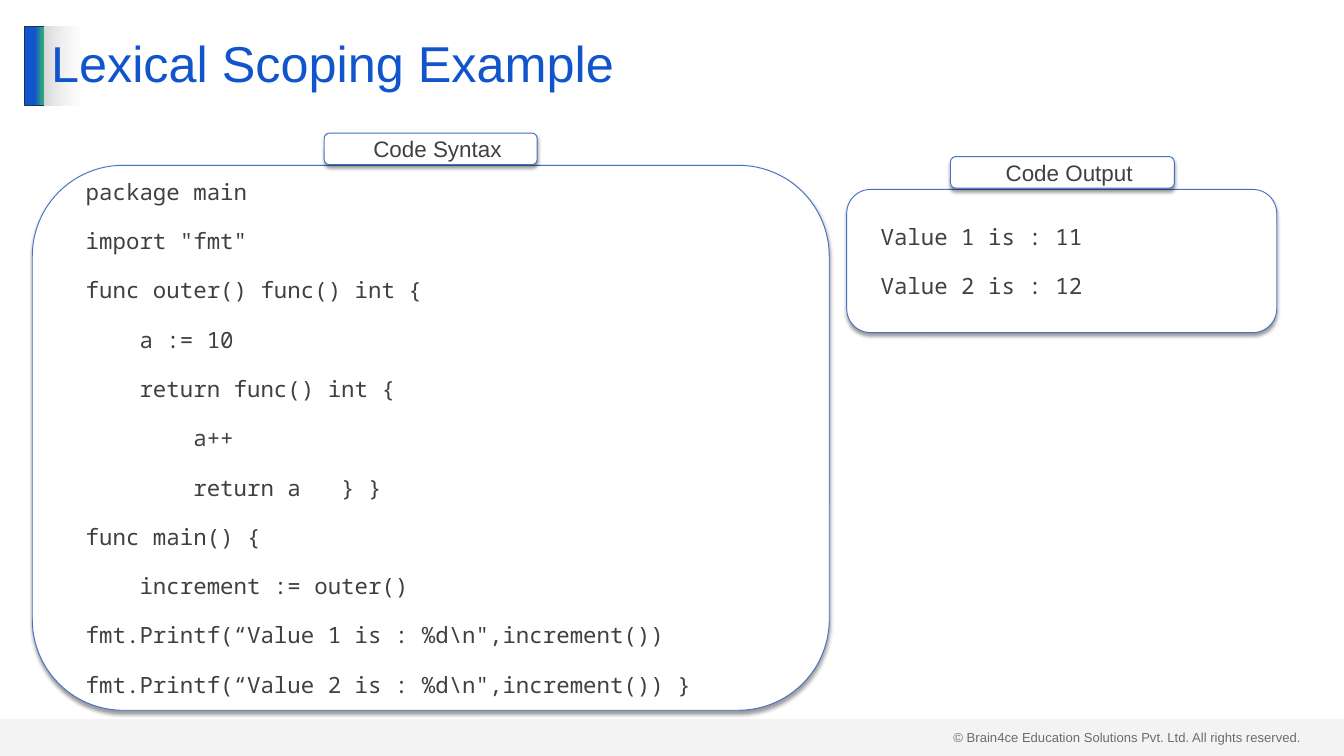
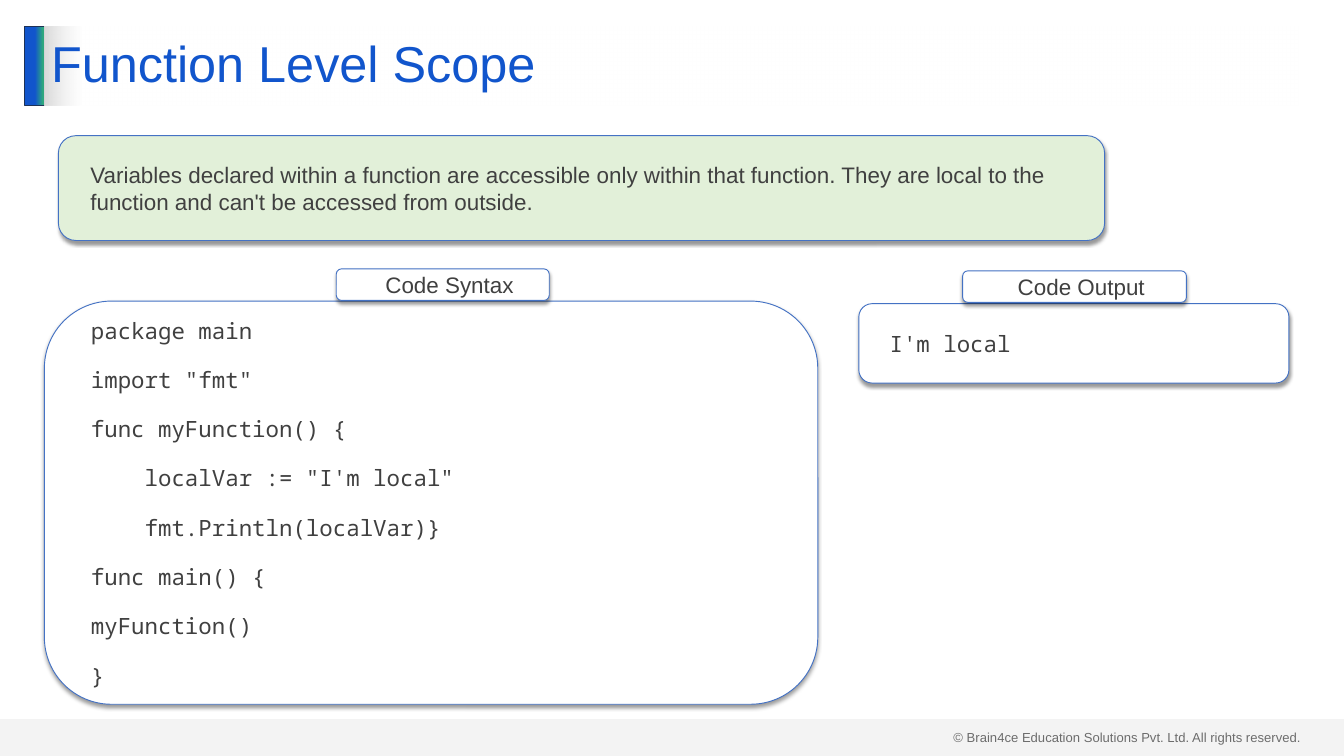
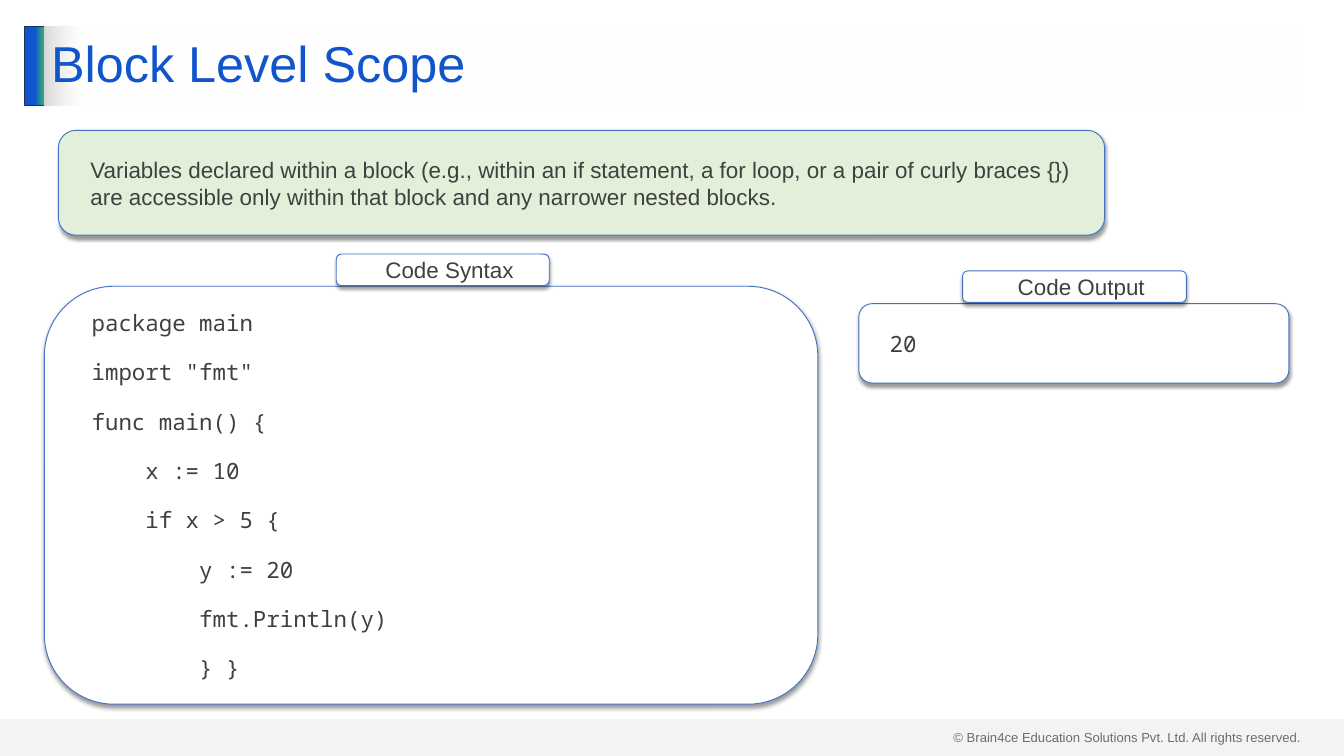
from lxml.etree import SubElement
from pptx import Presentation
from pptx.dml.color import RGBColor
from pptx.enum.shapes import MSO_SHAPE
from pptx.enum.text import MSO_ANCHOR, MSO_AUTO_SIZE, PP_ALIGN
from pptx.oxml.ns import qn
from pptx.util import Pt

COLORS = {
    "title": "1155CC", "accent": "2EA87D", "accent_line": "1E3256",
    "grey": "D9D9D9", "white": "FFFFFF", "text": "404040",
    "outline": "4472C4", "definition": "E2F0D9", "shadow": "000000",
}
PROSE_FONT, CODE_FONT = "Arial", "Noto Sans Mono"
COPYRIGHT = "© Brain4ce Education Solutions Pvt. Ltd. All rights reserved."

# Boxes are (left, top, width, height) in points.
SLIDE_SIZE = (1440, 810)
COPYRIGHT_BOX = (1014.5, 777.6, 389.5, 24.5)
ACCENT_BOX = (26.6, 28, 21.6, 85)
FOOTER_BOX = (0, 770.4, 1440, 39.6)
TITLE_BOX = (47.5, 28, 1344.2, 85)

# Captions: text, offset from the left of their panel, rise above it, width.
CAPTION_HEIGHT = 33.8
CODE_CAPTION = ("Code Syntax", 312.8, 34.5, 228.2)
OUTPUT_CAPTION = ("Code Output", 111.2, 35.2, 239.8)

LESSONS = [
    {
        "title": "Lexical Scoping Example",
        "code_box": (34.6, 177.1, 853.9, 583.9),
        "code": [
            "package main",
            'import "fmt"',
            "func outer() func() int {",
            "    a := 10",
            "    return func() int {",
            "        a++",
            "        return a   } }",
            "func main() {",
            "    increment := outer()",
            r'fmt.Printf(“Value 1 is : %d\n",increment())',
            r'fmt.Printf(“Value 2 is : %d\n",increment()) }',
        ],
        "output_box": (907.2, 203, 460.8, 153.4),
        "output": ["Value 1 is : 11", "Value 2 is : 12"],
    },
    {
        "title": "Function Level Scope",
        "code_box": (47.5, 322.6, 828.7, 432),
        "code": [
            "package main",
            'import "fmt"',
            "func myFunction() {",
            '    localVar := "I\'m local"',
            "    fmt.Println(localVar)}",
            "func main() {",
            "myFunction()",
            "}",
        ],
        "output_box": (920.2, 325.4, 460.8, 85),
        "output": ["I'm local"],
        "definition_box": (62.6, 145.4, 1121, 112.3),
        "definition": "Variables declared within a function are accessible only within that "
                      "function. They are local to the function and can't be accessed from outside.",
    },
    {
        "title": "Block Level Scope",
        "code_box": (47.5, 306.7, 828.7, 447.8),
        "code": [
            "package main",
            'import "fmt"',
            "func main() {",
            "    x := 10",
            "    if x > 5 {",
            "        y := 20",
            "        fmt.Println(y)",
            "        } }",
        ],
        "output_box": (920.2, 325.4, 460.8, 85),
        "output": ["20"],
        "definition_box": (62.6, 139.7, 1121, 112.3),
        "definition": "Variables declared within a block (e.g., within an if statement, a for loop, "
                      "or a pair of curly braces {}) are accessible only within that block and any "
                      "narrower nested blocks.",
    },
]


def rgb(name):
    return RGBColor.from_string(COLORS[name])


def points(box):
    return [Pt(length) for length in box]


def add_color(parent, name, opacity=100):
    color = SubElement(parent, qn("a:srgbClr"), val=COLORS[name])
    if opacity < 100:
        SubElement(color, qn("a:alpha"), val=str(opacity * 1000))


def write(frame, lines, size=24, font=PROSE_FONT, color="text", align=PP_ALIGN.LEFT,
          anchor=MSO_ANCHOR.MIDDLE, gap=24, indent=0, line_spacing=None):
    frame.word_wrap = True
    frame.auto_size = MSO_AUTO_SIZE.NONE
    frame.vertical_anchor = anchor
    for index, line in enumerate(lines):
        paragraph = frame.add_paragraph() if index else frame.paragraphs[0]
        paragraph.text = line
        paragraph.alignment = align
        paragraph.line_spacing = line_spacing
        paragraph.space_before = Pt(gap if index else 0)
        paragraph.space_after = Pt(0)
        if indent:
            properties = paragraph._p.get_or_add_pPr()
            properties.set("marL", str(Pt(indent)))
            properties.set("indent", "0")
        paragraph.font.size = Pt(size)
        paragraph.font.name = font
        paragraph.font.color.rgb = rgb(color)


def fill_gradient(shape, stops):
    """Fill left to right with stops of (percent, colour, opacity)."""
    shape.fill.gradient()
    gradient = shape.element.spPr.find(qn("a:gradFill"))
    gradient.find(qn("a:lin")).set("ang", "0")
    stop_list = gradient.find(qn("a:gsLst"))
    for old_stop in list(stop_list):
        stop_list.remove(old_stop)
    for percent, color, opacity in stops:
        stop = SubElement(stop_list, qn("a:gs"), pos=str(percent * 1000))
        add_color(stop, color, opacity)


def add_panel(slide, box, lines, fill="white", **text_format):
    panel = slide.shapes.add_shape(MSO_SHAPE.ROUNDED_RECTANGLE, *points(box))
    panel.fill.solid()
    panel.fill.fore_color.rgb = rgb(fill)
    panel.line.color.rgb = rgb("outline")
    panel.line.width = Pt(1)
    panel.shadow.inherit = False
    effects = panel.element.spPr.find(qn("a:effectLst"))
    shadow = SubElement(effects, qn("a:outerShdw"), blurRad=str(Pt(4)), dist=str(Pt(3)),
                        dir="5400000", algn="t", rotWithShape="0")
    add_color(shadow, "shadow", 40)
    frame = panel.text_frame
    frame.margin_left = frame.margin_right = Pt(14.4)
    frame.margin_top = frame.margin_bottom = Pt(7.2)
    write(frame, lines, indent=14.4, **text_format)


def add_caption(slide, panel_box, caption):
    text, offset, rise, width = caption
    left, top = panel_box[:2]
    add_panel(slide, (left + offset, top - rise, width, CAPTION_HEIGHT), [text],
              align=PP_ALIGN.CENTER)


def decorate_layout(layout, slide):
    """Draw the shared parts on a slide, then move them to its layout."""
    copyright_line = slide.shapes.add_textbox(*points(COPYRIGHT_BOX))
    write(copyright_line.text_frame, [COPYRIGHT], size=14, anchor=MSO_ANCHOR.TOP)

    accent = slide.shapes.add_shape(MSO_SHAPE.RECTANGLE, *points(ACCENT_BOX))
    fill_gradient(accent, [(51, "title", 100), (90, "accent", 100), (100, "accent", 100)])
    accent.line.color.rgb = rgb("accent_line")
    accent.line.width = Pt(1)

    footer = slide.shapes.add_shape(MSO_SHAPE.RECTANGLE, *points(FOOTER_BOX))
    footer.fill.solid()
    footer.fill.fore_color.rgb = rgb("grey")
    footer_color = footer.element.spPr.find(qn("a:solidFill")).find(qn("a:srgbClr"))
    SubElement(footer_color, qn("a:alpha"), val="29000")
    footer.line.fill.background()

    for band in (accent, footer):
        band.shadow.inherit = False
    for part in (copyright_line, accent, footer):
        layout.shapes.element.append(part.element)


def set_title(slide, text):
    title = slide.shapes.title
    title.left, title.top, title.width, title.height = points(TITLE_BOX)
    fill_gradient(title, [(0, "grey", 100), (3, "white", 50)])
    write(title.text_frame, [text], size=54, color="title", line_spacing=0.9)


def build_lesson(slide, lesson):
    set_title(slide, lesson["title"])
    for part, caption in (("code", CODE_CAPTION), ("output", OUTPUT_CAPTION)):
        box = lesson[part + "_box"]
        add_panel(slide, box, lesson[part], font=CODE_FONT)
        add_caption(slide, box, caption)
    if "definition" in lesson:
        add_panel(slide, lesson["definition_box"], [lesson["definition"]], fill="definition")


def main():
    deck = Presentation()
    deck.slide_width, deck.slide_height = points(SLIDE_SIZE)
    layout = deck.slide_layouts.get_by_name("Title Only")
    for number, lesson in enumerate(LESSONS):
        slide = deck.slides.add_slide(layout)
        if number == 0:
            decorate_layout(layout, slide)
        build_lesson(slide, lesson)
    deck.save("out.pptx")


if __name__ == "__main__":
    main()
